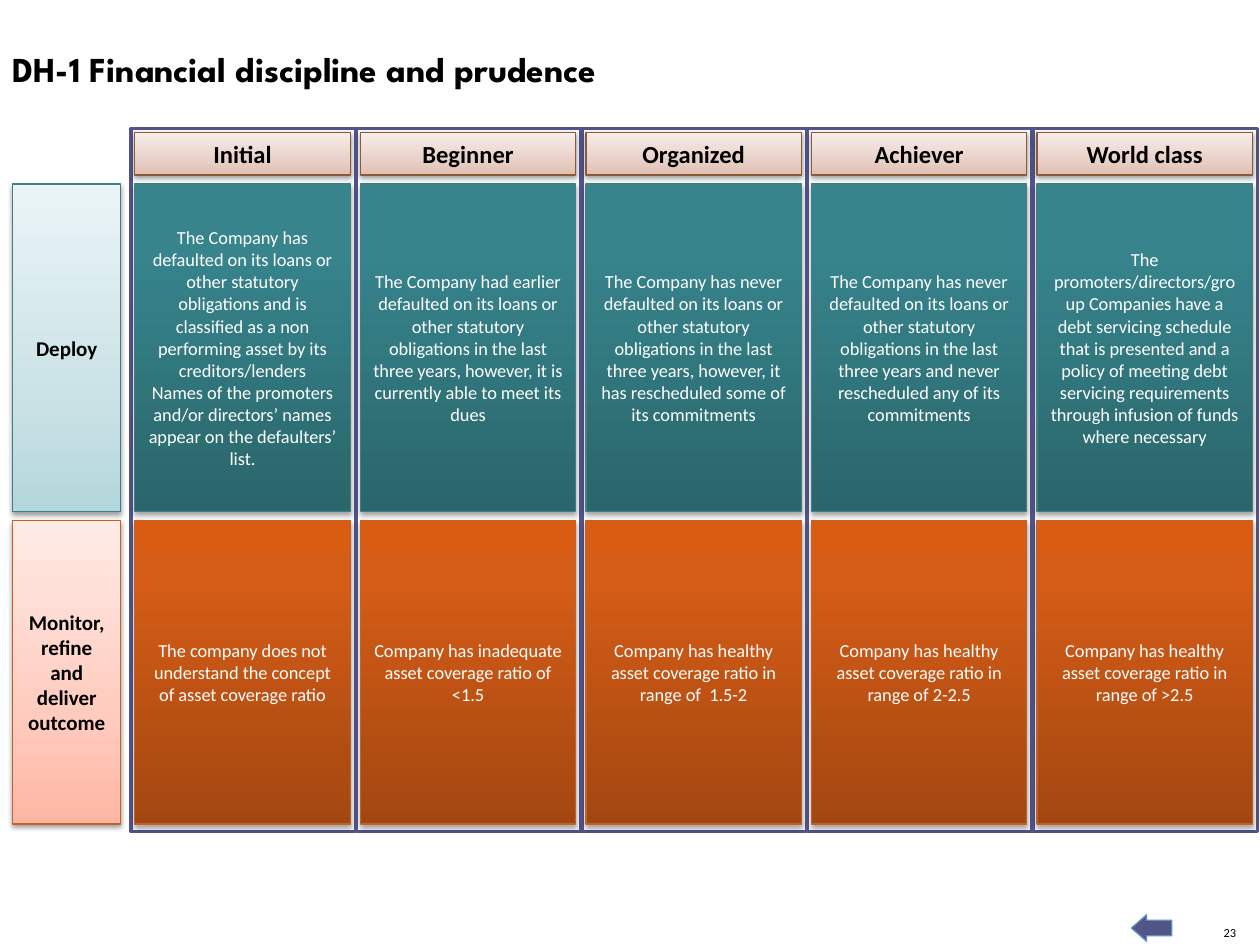
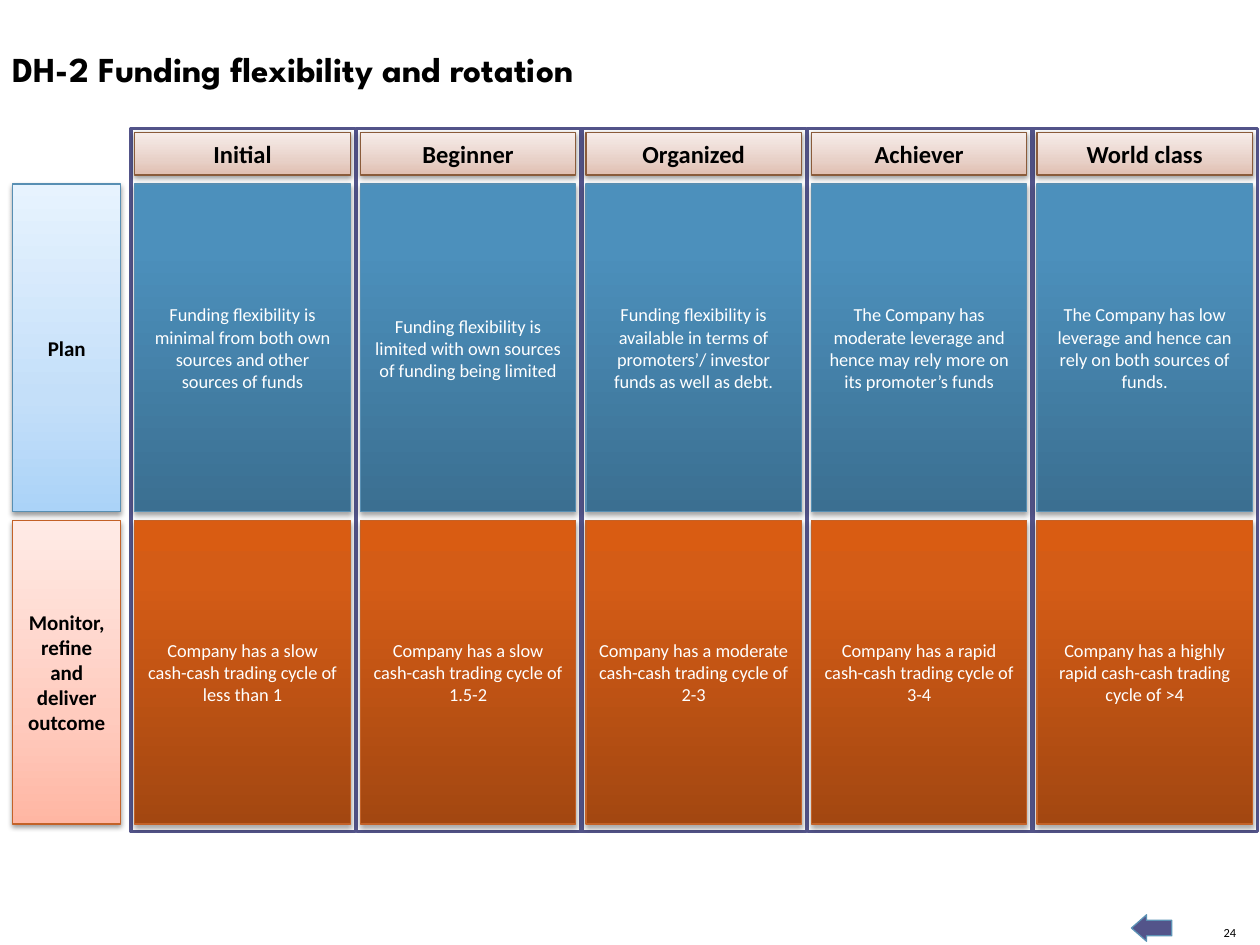
"""Build two maturity-grid slides on financial discipline and funding."""
from copy import deepcopy

from lxml import etree
from pptx import Presentation
from pptx import util as u
from pptx.dml.color import RGBColor
from pptx.enum import shapes, text
from pptx.oxml.ns import qn

LEVELS = ["Initial", "Beginner", "Organized", "Achiever", "World class"]
OUTCOME = "Monitor, refine and deliver outcome"
SLIDES = [
    ("DH-1 Financial discipline and prudence", [
        ("Deploy", "teal", [
            "The Company has defaulted on its loans or other statutory obligations and is "
            "classified as a non performing asset by its creditors/lenders\n"
            "Names of the promoters and/or directors’ names appear on the defaulters’ list.",
            "The Company had earlier defaulted on its loans or other statutory obligations in "
            "the last three years, however, it is currently able to meet its dues",
            "The Company has never defaulted on its loans or other statutory obligations in "
            "the last three years, however, it has rescheduled some of its commitments",
            "The Company has never defaulted on its loans or other statutory obligations in "
            "the last three years and never rescheduled any of its commitments",
            "The promoters/directors/group Companies have a debt servicing schedule that is "
            "presented and a policy of meeting debt servicing requirements through infusion "
            "of funds where necessary",
        ]),
        (OUTCOME, "orange", [
            "The company does not understand the concept of asset coverage ratio",
            "Company has inadequate asset coverage ratio of <1.5",
            "Company has healthy asset coverage ratio in range of  1.5-2",
            "Company has healthy asset coverage ratio in range of 2-2.5",
            "Company has healthy asset coverage ratio in range of >2.5",
        ]),
    ]),
    ("DH-2 Funding flexibility and rotation", [
        ("Plan", "blue", [
            "Funding flexibility is minimal from both own sources and other sources of funds",
            "Funding flexibility is limited with own sources of funding being limited",
            "Funding flexibility is available in terms of promoters’/ investor funds as well "
            "as debt.",
            "The Company has moderate leverage and hence may rely more on its promoter’s funds",
            "The Company has low leverage and hence can rely on both sources of funds.",
        ]),
        (OUTCOME, "orange", [
            "Company has a slow cash-cash trading cycle of less than 1",
            "Company has a slow cash-cash trading cycle of 1.5-2",
            "Company has a moderate cash-cash trading cycle of 2-3",
            "Company has a rapid cash-cash trading cycle of 3-4",
            "Company has a highly rapid cash-cash trading cycle of >4",
        ]),
    ]),
]
FIRST_PAGE = 23

BLACK = RGBColor(0, 0, 0)
WHITE = RGBColor(255, 255, 255)
INDIGO = RGBColor(0x53, 0x54, 0x8A)
ARROW_LINE = RGBColor(0x5C, 0x92, 0xB5)


def colors(*codes):
    return [RGBColor.from_string(code) for code in codes]


LINES = dict(zip(("teal", "orange", "blue", "tan"),
                 colors("407F85", "C36228", "588FB3", "8A5B3A")))
PALE = {
    "teal": colors("B3D7DC", "CAE2E6", "EAF4F6"),
    "orange": colors("FFB6A3", "FFCBBE", "FFEBE6"),
    "blue": colors("ABD3F8", "C4DFF9", "E7F3FE"),
    "tan": colors("E0BEB0", "E8D1C8", "F7EDEA"),
}
DEEP = {
    "teal": colors("2A666B", "37848C", "36868E"),
    "orange": colors("A34711", "D45C16", "D95C12"),
    "blue": colors("3B6F91", "4C90BC", "4A91BF"),
}

GRID_LEFT, GRID_TOP, PITCH = 1.04, 1.02, 1.79
FRAME_W, FRAME_H = 1.78, 5.58
INSET, CELL_W = 0.03, 1.71
HEADER_H = 0.34
LABEL_LEFT, LABEL_W = 0.1, 0.86
ROWS = [(1.46, 2.6), (4.13, 2.41)]


def inches(*lengths):
    return [u.Inches(length) for length in lengths]


def write(tf, content, size, color, bold=False, align=text.PP_ALIGN.CENTER, font="Calibri"):
    tf.text = content
    for p in tf.paragraphs:
        p.alignment = align
        p.font.name, p.font.size, p.font.bold = font, u.Pt(size), bold
        p.font.color.rgb = color


def add_block(s, box, fill, line, width=0.75, kind=shapes.MSO_SHAPE.RECTANGLE):
    sp = s.shapes.add_shape(kind, *inches(*box))
    sp.shadow.inherit = False
    sp.fill.solid()
    sp.fill.fore_color.rgb = fill
    sp.line.color.rgb = line
    sp.line.width = u.Pt(width)
    return sp


def add_shadow(sp, distance, alpha):
    effects = sp.element.spPr.find(qn("a:effectLst"))
    shadow = etree.SubElement(effects, qn("a:outerShdw"), blurRad=str(u.Pt(3.1)),
                              dist=str(u.Pt(distance)), dir="5400000", rotWithShape="0")
    color = etree.SubElement(shadow, qn("a:srgbClr"), val=str(BLACK))
    etree.SubElement(color, qn("a:alpha"), val=str(alpha * 1000))


def add_cell(s, box, content, name, size, pale=True):
    shades = (PALE if pale else DEEP)[name]
    sp = add_block(s, box, shades[0], LINES[name])
    sp.fill.gradient()
    sp.fill.gradient_angle = 90
    stops = sp.element.spPr.find(qn("a:gradFill")).find(qn("a:gsLst"))
    stops.insert(1, deepcopy(stops[0]))
    positions = (0, 0.35 if pale else 0.8, 1)
    for stop, position, shade in zip(sp.fill.gradient_stops, positions, shades):
        stop.position = position
        stop.color.rgb = shade
    add_shadow(sp, *((1.6, 38) if pale else (1.8, 35)))
    sp.text_frame.vertical_anchor = text.MSO_ANCHOR.MIDDLE
    write(sp.text_frame, content, size, BLACK if pale else WHITE, bold=pale)


def add_title(s, content):
    title = s.shapes.title
    title.left, title.top, title.width, title.height = inches(0, 0.33, 8.6, 0.44)
    tf = title.text_frame
    tf.vertical_anchor = text.MSO_ANCHOR.TOP
    tf.auto_size = text.MSO_AUTO_SIZE.NONE
    write(tf, content, 20, BLACK, True, text.PP_ALIGN.LEFT, "League Spartan")


def add_footer(s, page):
    arrow = add_block(s, (8.98, 7.26, 0.32, 0.21), INDIGO, ARROW_LINE,
                      kind=shapes.MSO_SHAPE.RIGHT_ARROW)
    arrow.rotation = 180
    arrow.adjustments[0], arrow.adjustments[1] = 0.59, 0.57
    tf = s.shapes.add_textbox(*inches(9.69, 7.34, 0.12, 0.12)).text_frame
    tf.margin_left = tf.margin_right = tf.margin_top = tf.margin_bottom = 0
    tf.word_wrap = False
    tf.vertical_anchor = text.MSO_ANCHOR.BOTTOM
    write(tf, str(page), 7.1, BLACK, align=text.PP_ALIGN.RIGHT)


def add_grid(s, rows):
    lefts = [GRID_LEFT + PITCH * i for i in range(len(LEVELS))]
    for left in lefts:
        add_block(s, (left, GRID_TOP, FRAME_W, FRAME_H), WHITE, INDIGO, 2)
    for (label, name, entries), (top, height) in zip(rows, ROWS):
        add_cell(s, (LABEL_LEFT, top, LABEL_W, height), label, name, 12)
        for left, entry in zip(lefts, entries):
            add_cell(s, (left + INSET, top, CELL_W, height), entry, name, 10.5, pale=False)
    for left, level in zip(lefts, LEVELS):
        add_cell(s, (left + INSET, GRID_TOP + INSET, CELL_W, HEADER_H), level, "tan", 14)


def main():
    prs = Presentation()
    prs.slide_width, prs.slide_height = inches(10, 7.5)
    for page, (title, rows) in enumerate(SLIDES, FIRST_PAGE):
        s = prs.slides.add_slide(prs.slide_layouts[5])
        add_title(s, title)
        add_grid(s, rows)
        add_footer(s, page)
    prs.save("out.pptx")


if __name__ == "__main__":
    main()
